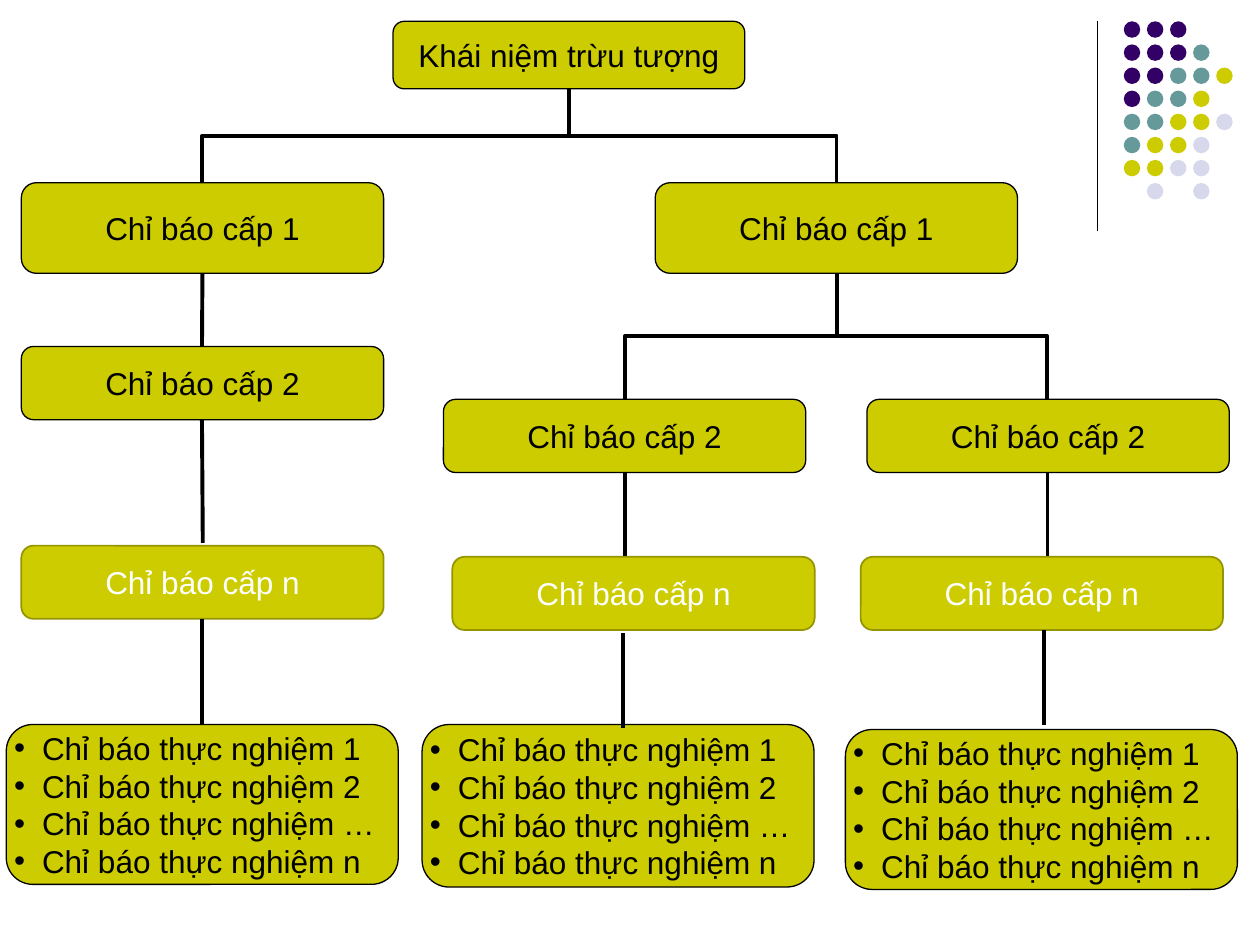
import pptx
import pptx.util
import pptx.dml.color
import pptx.enum.shapes
import pptx.enum.text
import pptx.oxml
import pptx.oxml.ns
from lxml import etree

Pt = pptx.util.Pt
RGBColor = pptx.dml.color.RGBColor
SHAPE = pptx.enum.shapes.MSO_SHAPE
CONNECTOR = pptx.enum.shapes.MSO_CONNECTOR
ALIGN = pptx.enum.text.PP_ALIGN
qn = pptx.oxml.ns.qn

BLACK = RGBColor(0x00, 0x00, 0x00)
WHITE = RGBColor(0xFF, 0xFF, 0xFF)
OLIVE = RGBColor(0xCC, 0xCC, 0x00)
DARK_OLIVE = RGBColor(0x95, 0x95, 0x00)
PURPLE = RGBColor(0x33, 0x00, 0x66)
TEAL = RGBColor(0x66, 0x99, 0x99)
LILAC = RGBColor(0xD8, 0xD8, 0xEC)

# Corner ornament: one letter per dot
DOT_ROWS = ["PPP", "PPPT", "PPTTO", "PTTO", "TTOOL", "TOOL", "OOLL", " L L"]
DOT_COLORS = {"P": PURPLE, "T": TEAL, "O": OLIVE, "L": LILAC}
DOT_LEFT, DOT_TOP, DOT_STEP, DOT_SIZE = 642.2, 12.2, 13.2, 9.4

# Concept boxes: text, left, top, width, height
LEVEL_WIDTH = 207
CONCEPTS = [
    ("Khái niệm trừu tượng", 224.6, 12.2, 201, 38.6),
    ("Chỉ báo cấp 1", 12.2, 104.4, LEVEL_WIDTH, 51.8),
    ("Chỉ báo cấp 2", 12.2, 198, LEVEL_WIDTH, 41.8),
    ("Chỉ báo cấp 1", 374.4, 104.4, LEVEL_WIDTH, 51.8),
    ("Chỉ báo cấp 2", 253.4, 228.2, LEVEL_WIDTH, 41.8),
    ("Chỉ báo cấp 2", 495.4, 228.2, LEVEL_WIDTH, 41.8),
]
LAST_LEVEL = "Chỉ báo cấp n"
LAST_LEVEL_PLACES = [(12.2, 311.8), (258.5, 318.2), (491.8, 318.2)]

# Indicator lists: left, top, height
INDICATORS = ["Chỉ báo thực nghiệm " + mark for mark in ("1", "2", "…", "n")]
INDICATOR_PLACES = [(3.6, 414, 91.4), (241.2, 414, 92.9), (483.1, 416.9, 91.4)]
INDICATOR_WIDTH = 224

# Branches: child x, child y, parent x, parent y
BRANCHES = [
    (598.5, 228.2, 478, 156.2), (357, 228.2, 478, 156.2),
    (478, 104.4, 325.2, 50.8), (115.5, 104.4, 325.2, 50.8),
]
# Straight links: x1, y1, x2, y2
UPPER_LINKS = [
    (357, 319, 357, 270), (115.9, 310.3, 115.4, 239.8),
    (115.4, 201, 115.7, 156.2), (598.6, 270, 598.6, 319.7),
]
LOWER_LINKS = [
    (115.4, 354, 115.4, 414), (355.9, 362, 355.9, 416), (596.4, 360, 596.4, 414),
]

deck = pptx.Presentation()
deck.slide_width, deck.slide_height = Pt(720), Pt(540)
page = deck.slides.add_slide(deck.slide_layouts[6])


def add_line(x1, y1, x2, y2, weight=2.25, kind=CONNECTOR.STRAIGHT):
    line = page.shapes.add_connector(kind, Pt(x1), Pt(y1), Pt(x2), Pt(y2))
    line.line.color.rgb = BLACK
    line.line.width = Pt(weight)
    etree.SubElement(line._element.spPr, qn("a:effectLst"))
    return line


def add_branch(child_x, child_y, parent_x, parent_y):
    """Elbow leaving the child vertically: laid out sideways, then turned."""
    middle_x, middle_y = (child_x + parent_x) / 2, (child_y + parent_y) / 2
    half_run = abs(child_x - parent_x) / 2
    half_rise = (child_y - parent_y) / 2
    goes_left = child_x > parent_x
    if goes_left:
        half_rise = -half_rise
    line = add_line(middle_x + half_rise, middle_y + half_run,
                    middle_x - half_rise, middle_y - half_run, kind=CONNECTOR.ELBOW)
    line._element.spPr.xfrm.set("rot", str((270 if goes_left else 90) * 60000))


def add_shape(kind, left, top, width, height, fill):
    shape = page.shapes.add_shape(kind, Pt(left), Pt(top), Pt(width), Pt(height))
    shape.shadow.inherit = False
    shape.fill.solid()
    shape.fill.fore_color.rgb = fill
    shape.line.fill.background()
    return shape


def add_box(text, left, top, width, height, color=BLACK, border=BLACK, weight=0.75,
            align=ALIGN.CENTER):
    box = add_shape(SHAPE.ROUNDED_RECTANGLE, left, top, width, height, OLIVE)
    box.line.color.rgb = border
    box.line.width = Pt(weight)
    frame = box.text_frame
    frame.margin_left = frame.margin_right = frame.margin_top = frame.margin_bottom = 0
    frame.word_wrap = True
    frame.vertical_anchor = pptx.enum.text.MSO_ANCHOR.MIDDLE
    frame.text = text
    for para in frame.paragraphs:
        para.alignment = align
        for span in para.runs:
            span.font.name = "Arial"
            span.font.size = Pt(18)
            span.font.color.rgb = color
    return box


def add_bullet(para, indent=16):
    para.line_spacing = Pt(21.5)
    properties = para._p.get_or_add_pPr()
    properties.set("marL", str(Pt(indent)))
    properties.set("indent", str(-Pt(indent)))
    etree.SubElement(properties, qn("a:buFont")).set("typeface", "Arial")
    etree.SubElement(properties, qn("a:buChar")).set("char", "•")


# Corner ornament
add_line(627.1, 12.2, 627.1, 131.8, weight=0.75)
for row, letters in enumerate(DOT_ROWS):
    for column, letter in enumerate(letters):
        if letter in DOT_COLORS:
            add_shape(SHAPE.OVAL, DOT_LEFT + column * DOT_STEP, DOT_TOP + row * DOT_STEP,
                      DOT_SIZE, DOT_SIZE, DOT_COLORS[letter])

# Links behind the boxes
for branch in BRANCHES:
    add_branch(*branch)
for link in UPPER_LINKS:
    add_line(*link)

# Concepts, indicator lists and last level
for concept in CONCEPTS:
    add_box(*concept)
for left, top, height in INDICATOR_PLACES:
    box = add_box("\n".join(INDICATORS), left, top, INDICATOR_WIDTH, height,
                  align=ALIGN.LEFT)
    for para in box.text_frame.paragraphs:
        add_bullet(para)
for left, top in LAST_LEVEL_PLACES:
    add_box(LAST_LEVEL, left, top, LEVEL_WIDTH, 41.8, WHITE, DARK_OLIVE, 1)

# Links in front of the lists
for link in LOWER_LINKS:
    add_line(*link)

deck.save("out.pptx")
